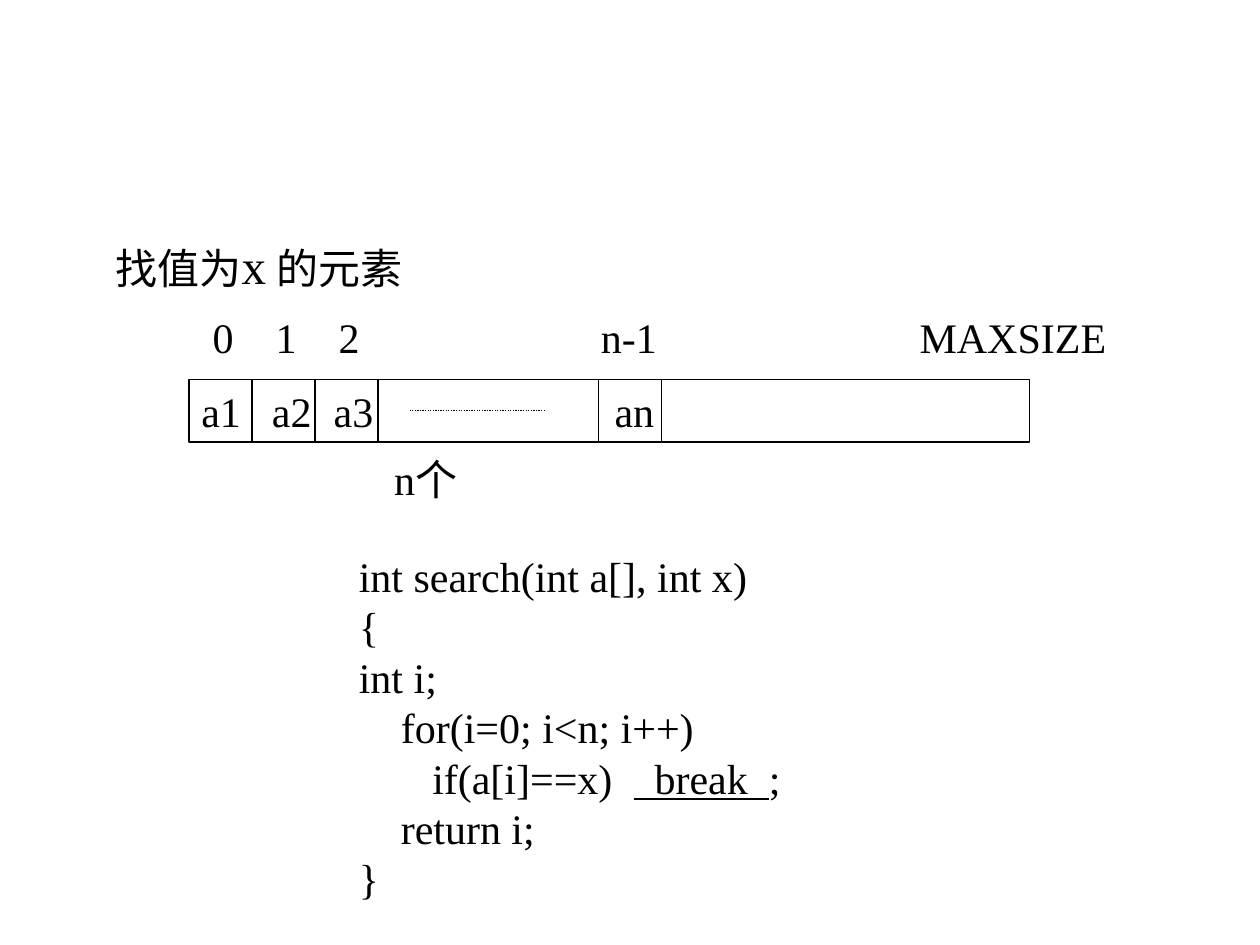
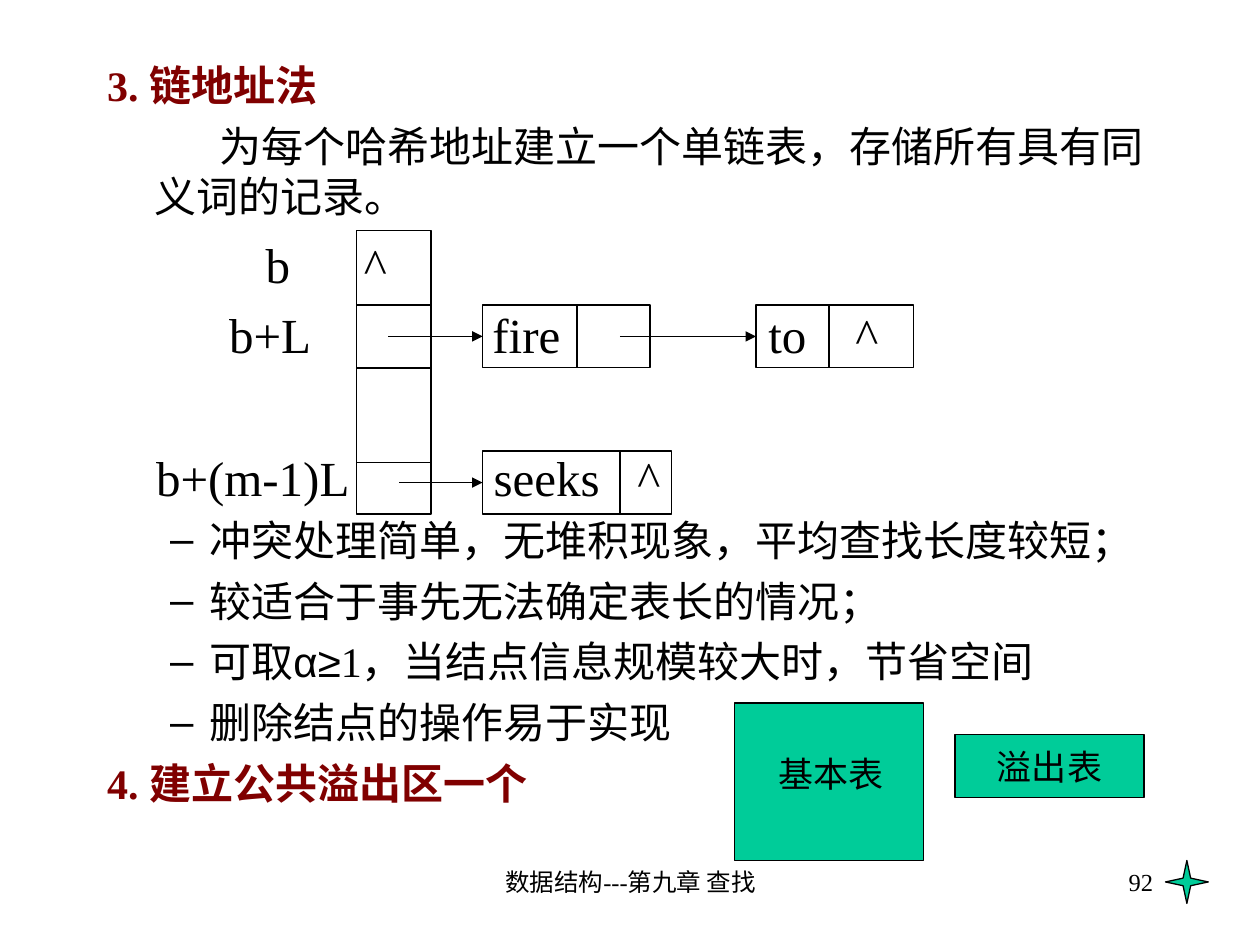
import dataclasses

import pptx
import pptx.dml.color
import pptx.enum.dml
import pptx.enum.shapes
import pptx.enum.text
import pptx.oxml.ns
import pptx.util
from lxml import etree

Inches = pptx.util.Inches
Pt = pptx.util.Pt
Align = pptx.enum.text.PP_ALIGN
Anchor = pptx.enum.text.MSO_ANCHOR
Preset = pptx.enum.shapes.MSO_SHAPE


@dataclasses.dataclass(frozen=True)
class Theme:
    ink: str = "000000"
    head: str = "800000"
    green: str = "00CC99"
    font: str = "Times New Roman"
    greek: str = "Arial"
    large: int = 28
    main: int = 24
    label: int = 20
    small: int = 14
    line: float = 0.75


THEME = Theme()


def color(code):
    return pptx.dml.color.RGBColor.from_string(code)


def child(node, tag, **attrs):
    return etree.SubElement(node, pptx.oxml.ns.qn(tag), attrs)


def write(frame, text, size=THEME.main, tint=THEME.ink, bold=False,
          align=None, before=0, level=0, margin=None, indent=0, stops=()):
    para = frame.paragraphs[0]
    if para.runs:
        para = frame.add_paragraph()
    para.level = level
    props = para._p.get_or_add_pPr()
    if margin is not None:
        props.set("marL", str(Inches(margin)))
        props.set("indent", str(Inches(indent)))
        child(props, "a:buNone")
    if stops:
        tabs = child(props, "a:tabLst")
        for stop in stops:
            child(tabs, "a:tab", pos=str(Inches(stop)), algn="l")
    para.space_before = Pt(before)
    if align is not None:
        para.alignment = align
    for part in [text] if isinstance(text, str) else text:
        words, style = (part, {}) if isinstance(part, str) else part
        run = para.add_run()
        run.text = words
        font = run.font
        font.name = style.get("font", THEME.font)
        font.size = Pt(style.get("size", size))
        font.bold = bold
        font.underline = style.get("under")
        font.color.rgb = color(tint)


def label(slide, left, top, width, height, *lines, **style):
    box = slide.shapes.add_textbox(*map(Inches, (left, top, width, height)))
    box.text_frame.word_wrap = True
    for line in lines:
        write(box.text_frame, line, **style)


def finish(shape, fill=None):
    shape.shadow.inherit = False
    if fill:
        shape.fill.solid()
        shape.fill.fore_color.rgb = color(fill)
    else:
        shape.fill.background()
    shape.line.color.rgb = color(THEME.ink)
    shape.line.width = Pt(THEME.line)
    return shape


def block(slide, left, top, width, height, fill=None):
    place = map(Inches, (left, top, width, height))
    return finish(slide.shapes.add_shape(Preset.RECTANGLE, *place), fill)


def rule(slide, x1, y1, x2, y2, dots=False, target=None):
    kind = pptx.enum.shapes.MSO_CONNECTOR.STRAIGHT
    line = slide.shapes.add_connector(kind, *map(Inches, (x1, y1, x2, y2)))
    line.line.color.rgb = color(THEME.ink)
    line.line.width = Pt(THEME.line)
    if dots:
        line.line.dash_style = pptx.enum.dml.MSO_LINE.ROUND_DOT
    if target is not None:
        line.end_connect(target, 1)
        child(line.line._get_or_add_ln(), "a:tailEnd", type="triangle")
    child(line._element.spPr, "a:effectLst")


def node(slide, left, top, width, split, start):
    cell = block(slide, left, top, width, 0.5)
    rule(slide, split, top, split, top + 0.5)
    rule(slide, start, top + 0.25, left, top + 0.25, target=cell)


def star(slide, x, y, tip, dent):
    spots = [(-tip, 0), (-dent, -dent), (0, -tip), (dent, -dent),
             (tip, 0), (dent, dent), (0, tip), (-dent, dent)]
    spots = [(Inches(x + dx), Inches(y + dy)) for dx, dy in spots]
    pen = slide.shapes.build_freeform(*spots[0])
    pen.add_line_segments(spots[1:], close=True)
    finish(pen.convert_to_shape(), THEME.green)


def array(slide):
    top, height = 3.01, 0.5
    block(slide, 1.5, top, 6.67, height)
    for x in (2, 2.5, 3, 4.75, 5.25):
        rule(slide, x, top, x, top + height)
    rule(slide, 3.25, 3.26, 4.33, 3.26, dots=True)
    label(slide, 1.59, 2.42, 7.4, 0.5, "0\t1\t2\tn-1\tMAXSIZE",
          stops=(0.5, 1, 3.08, 5.61))
    label(slide, 1.5, top, 3.9, height, "a1\ta2\ta3\tan",
          stops=(0.56, 1.05, 3.28))
    label(slide, 3.03, 3.55, 0.85, 0.5, "n个")


def search(deck):
    slide = deck.slides.add_slide(deck.slide_layouts[6])
    label(slide, 0.82, 1.82, 2.8, 0.57,
          ["找值为", ("x", {"size": THEME.large}), " 的元素"])
    array(slide)
    label(slide, 2.75, 4.32, 3.7, 2.9,
          "int search(int a[], int x)",
          "{",
          "int i;",
          "    for(i=0; i<n; i++)",
          ["       if(a[i]==x)  ", ("  break  ", {"under": True}), ";"],
          "    return i;",
          "}")


def prose(slide):
    slide.shapes.title._element.getparent().remove(slide.shapes.title._element)
    body = slide.placeholders[1]
    body.left, body.top, body.width, body.height = map(
        Inches, (0.75, 0.42, 8.5, 6.25))
    frame = body.text_frame
    frame.auto_size = pptx.enum.text.MSO_AUTO_SIZE.NONE
    head = dict(tint=THEME.head, bold=True, margin=0.38, indent=-0.38)
    write(frame, "3. 链地址法", **head)
    write(frame, "为每个哈希地址建立一个单链表，存储所有具有同义词的记录。",
          before=6, margin=0.38, indent=0.51)
    write(frame, "冲突处理简单，无堆积现象，平均查找长度较短；",
          before=167.5, level=1)
    for text in ("较适合于事先无法确定表长的情况；",
                 ["可取", ("α≥", {"font": THEME.greek}),
                  "1，当结点信息规模较大时，节省空间"],
                 "删除结点的操作易于实现"):
        write(frame, text, before=6, level=1)
    write(frame, "4. 建立公共溢出区一个", before=6, **head)


def links(slide):
    block(slide, 2.83, 1.83, 0.59, 2.25)
    for y in (2.42, 2.92, 3.67):
        rule(slide, 2.83, y, 3.42, y)
    node(slide, 3.83, 2.42, 1.33, 4.58, 3.08)
    node(slide, 6, 2.42, 1.25, 6.58, 4.92)
    node(slide, 3.83, 3.58, 1.5, 4.92, 3.17)
    rows = [(2.01, 1.81, "b\t^", (0.78,)),
            (1.72, 2.37, "b+L\tfire\tto\t^", (2.09, 4.28, 4.97)),
            (1.14, 3.5, "b+(m-1)L\tseeks\t^", (2.68, 3.82))]
    for left, top, text, stops in rows:
        label(slide, left, top, stops[-1] + 0.6, 0.55, text,
              size=THEME.large, stops=stops)


def chain(deck):
    slide = deck.slides.add_slide(deck.slide_layouts[1])
    prose(slide)
    label(slide, 3.42, 6.83, 3.17, 0.5, "数据结构---第九章 查找",
          size=THEME.small, align=Align.CENTER)
    label(slide, 7.17, 6.83, 2.08, 0.5, "92",
          size=THEME.small, align=Align.RIGHT)
    links(slide)
    block(slide, 5.83, 5.58, 1.5, 1.25, THEME.green)
    label(slide, 6.08, 5.92, 1.08, 0.44, "基本表", size=THEME.label)
    spill = block(slide, 7.58, 5.83, 1.5, 0.5, THEME.green).text_frame
    spill.vertical_anchor = Anchor.MIDDLE
    write(spill, "溢出表", size=THEME.label, align=Align.CENTER)
    star(slide, 9.42, 7, 0.17, 0.03)


def main():
    deck = pptx.Presentation()
    deck.slide_width, deck.slide_height = Inches(10), Inches(7.5)
    search(deck)
    chain(deck)
    deck.save("out.pptx")


if __name__ == "__main__":
    main()
